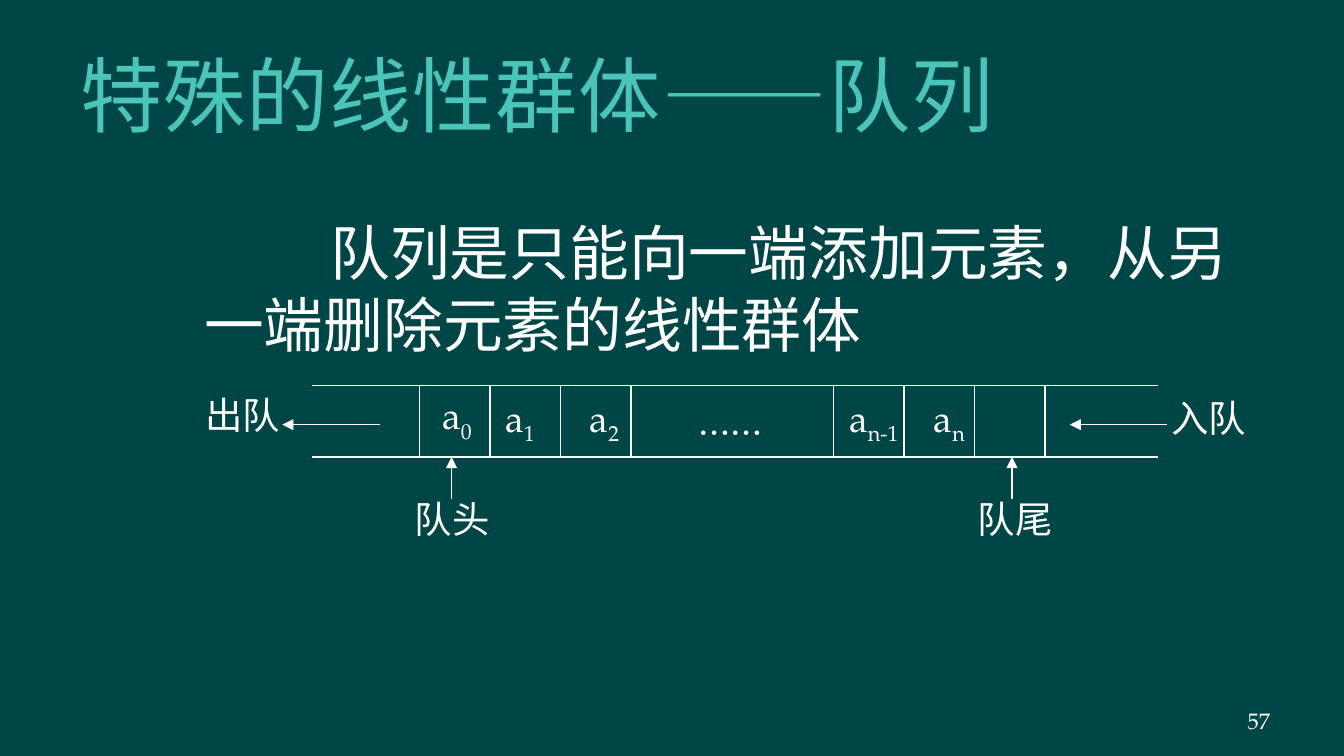
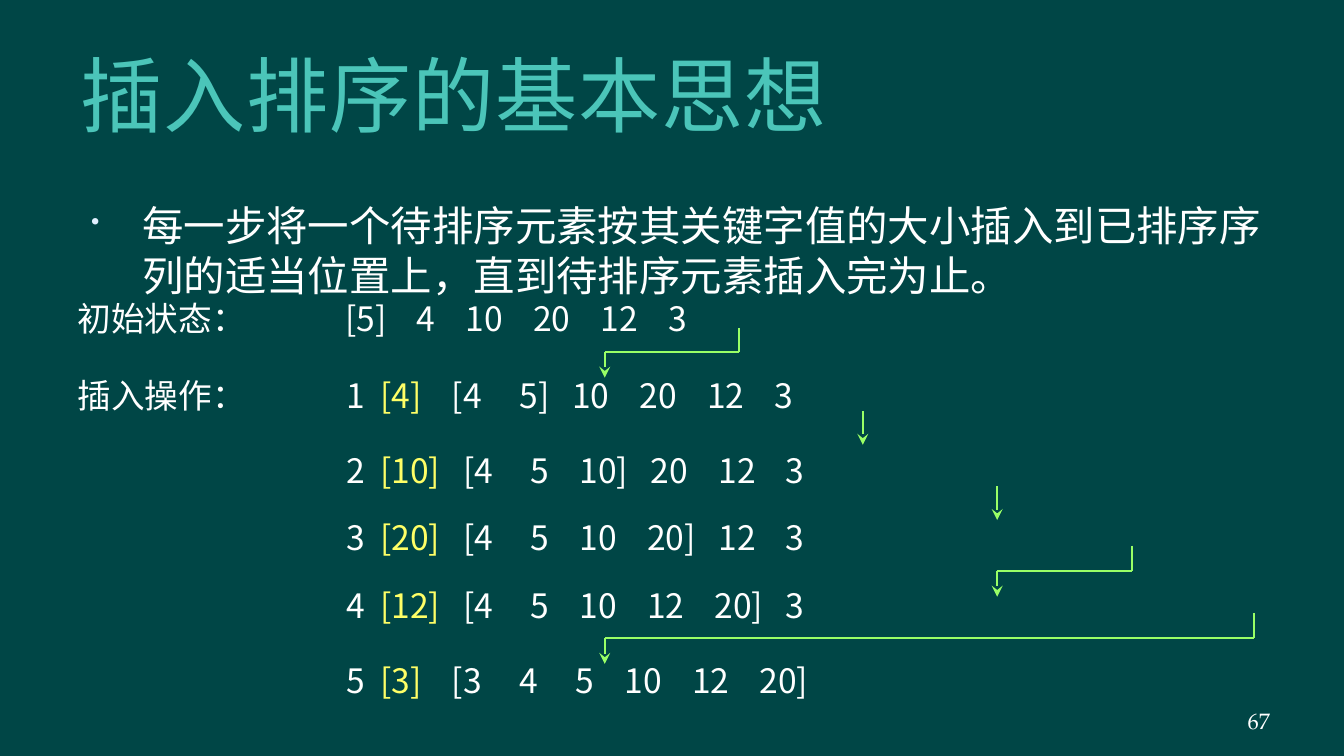
from dataclasses import dataclass

from lxml import etree
from pptx import Presentation
from pptx.dml.color import RGBColor
from pptx.enum.shapes import MSO_CONNECTOR
from pptx.enum.text import MSO_ANCHOR, PP_ALIGN
from pptx.oxml.ns import qn
from pptx.util import Inches, Pt

STRAIGHT = MSO_CONNECTOR.STRAIGHT
TOP, MIDDLE = MSO_ANCHOR.TOP, MSO_ANCHOR.MIDDLE
LEFT, CENTER, RIGHT = PP_ALIGN.LEFT, PP_ALIGN.CENTER, PP_ALIGN.RIGHT


@dataclass(frozen=True)
class Theme:
    """Colours, fonts and type sizes of the deck."""
    background: str = "004646"
    title: str = "4BC5B9"
    text: str = "FFFFFF"
    bullet: str = "E1F0FF"
    key: str = "FFFF66"
    arrow: str = "99FF66"
    title_font: str = "Lato"
    body_font: str = "TeX Gyre Pagella"
    serif_font: str = "Times New Roman"
    row_font: str = "Noto Sans CJK SC"
    east_font: str = "Lato"
    title_size: float = 44
    definition_size: float = 32
    idea_size: float = 22.2
    label_size: float = 20
    row_size: float = 18
    number_size: float = 12


THEME = Theme()
DASH = "——"

# Queue slide
QUEUE_TITLE = "特殊的线性群体——队列"
QUEUE_NUMBER = "57"
QUEUE_TEXT = "队列是只能向一端添加元素，从另一端删除元素的线性群体"
QUEUE_LEFT, QUEUE_RIGHT, QUEUE_TOP, QUEUE_BOTTOM = 2.32, 8.62, 2.87, 3.4
CELL_WIDTH = 0.525
CELL_GROUPS = [(3.12, 4), (6.2, 4)]  # first divider, number of dividers
ELEMENT_TAB = 0.63
QUEUE_ELEMENTS = [  # box, (text, is subscript) pairs
    ((3.66, 2.89, 1.51, 0.48), [("a", 0), ("1", 1), ("\ta", 0), ("2", 1)]),
    ((6.22, 2.89, 1.53, 0.48), [("a", 0), ("n-1", 1), ("\ta", 0), ("n", 1)]),
]
FIRST_ELEMENT = ((3.18, 2.92, 0.44, 0.46), [("a", 0), ("0", 1)])
QUEUE_LABELS = [  # text, left, top, East Asian font
    ("……", 4.93, 2.91, THEME.body_font),
    ("队头", 2.86, 3.64, THEME.east_font),
    ("队尾", 7.05, 3.64, THEME.east_font),
    ("入队", 8.49, 2.89, THEME.east_font),
    ("出队", 1.3, 2.87, THEME.east_font),
]
QUEUE_ARROWS = [
    [(3.36, 3.71), (3.36, 3.4)], [(7.53, 3.71), (7.53, 3.4)],
    [(2.83, 3.16), (2.1, 3.16)], [(8.68, 3.16), (7.96, 3.16)],
]

# Insertion sort slide
SORT_TITLE = "插入排序的基本思想"
SORT_NUMBER = "67"
SORT_TEXT = ("每一步将一个待排序元素按其关键字值的大小插入到已排序序列的"
             "适当位置上，直到待排序元素插入完为止。")
INITIAL_LABEL, INITIAL_CELLS = "初始状态：", "[5] 4 10 20 12 3"
INSERT_LABEL = "插入操作："
SORT_STEPS = [  # top, inserted key, list after the step, arrow points
    (2.74, "[4]", "[4 5] 10 20 12 3",
     [(5.5, 2.44), (5.5, 2.62), (4.5, 2.62), (4.5, 2.81)]),
    (3.3, "[10]", "[4 5 10] 20 12 3", [(6.42, 3.06), (6.42, 3.31)]),
    (3.8, "[20]", "[4 5 10 20] 12 3", [(7.42, 3.62), (7.42, 3.87)]),
    (4.3, "[12]", "[4 5 10 12 20] 3",
     [(8.42, 4.06), (8.42, 4.25), (7.42, 4.25), (7.42, 4.44)]),
    (4.86, "[3]", "[3 4 5 10 12 20]",
     [(9.33, 4.56), (9.33, 4.75), (4.5, 4.75), (4.5, 4.94)]),
]
DIGIT, BRACKET, GAP_UNIT = 0.139, 0.085, 0.056  # widths in the row font
INITIAL_OFFSET = 1.99


def add_text(shapes, box, pieces, size, font=THEME.body_font, color=THEME.text,
             align=LEFT, anchor=TOP, insets=(0.1, 0.05),
             east_font=THEME.east_font, tabs=()):
    """Add a one-paragraph text box; pieces are (text, run options) pairs."""
    shape = shapes.add_textbox(*map(Inches, box))
    frame = shape.text_frame
    frame.word_wrap = True
    frame.vertical_anchor = anchor
    frame.margin_left = frame.margin_right = Inches(insets[0])
    frame.margin_top = frame.margin_bottom = Inches(insets[1])
    paragraph = frame.paragraphs[0]
    paragraph.alignment = align
    for text, options in pieces:
        run = paragraph.add_run()
        run.text = text
        run.font.size = Pt(size)
        run.font.name = font
        run.font.color.rgb = RGBColor.from_string(options.get("color", color))
        properties = run.font._element
        east = etree.SubElement(properties, qn("a:ea"))
        east.set("typeface", options.get("east_font", east_font))
        for name in ("baseline", "spc"):
            if name in options:
                properties.set(name, str(options[name]))
    if tabs:
        tab_list = etree.SubElement(paragraph._p.get_or_add_pPr(), qn("a:tabLst"))
        for position in tabs:
            tab = etree.SubElement(tab_list, qn("a:tab"))
            tab.set("pos", str(Inches(position)))
            tab.set("algn", "l")
    return paragraph


def indent(paragraph, margin, first_line, size):
    """Set the indents and the 20 % space before a body paragraph."""
    paragraph.space_before = Pt(round(size * 0.2, 1))
    properties = paragraph._p.get_or_add_pPr()
    properties.set("marL", str(Inches(margin)))
    properties.set("indent", str(Inches(first_line)))
    return properties


def add_bullet(properties):
    """Give paragraph properties a small coloured bullet."""
    color = etree.SubElement(properties, qn("a:buClr"))
    etree.SubElement(color, qn("a:srgbClr")).set("val", THEME.bullet)
    etree.SubElement(properties, qn("a:buSzPct")).set("val", "60000")
    etree.SubElement(properties, qn("a:buChar")).set("char", "•")


def add_line(shapes, start, end, color=THEME.text, width=0.75, head=None):
    """Add a straight line, with an arrowhead at its end if one is named."""
    points = [Inches(value) for value in (*start, *end)]
    connector = shapes.add_connector(STRAIGHT, *points)
    connector.line.color.rgb = RGBColor.from_string(color)
    connector.line.width = Pt(width)
    if head:
        line = connector.line._get_or_add_ln()
        etree.SubElement(line, qn("a:tailEnd")).set("type", head)
    etree.SubElement(connector._element.spPr, qn("a:effectLst"))


def add_polyline(shapes, points, color, width, head):
    """Join points by lines; the last one carries the arrowhead."""
    for index, (start, end) in enumerate(zip(points, points[1:]), 2):
        add_line(shapes, start, end, color, width,
                 head if index == len(points) else None)


def title_pieces(title):
    """Split a title so that its dash takes the full-width font."""
    before, dash, after = title.partition(DASH)
    pieces = [(before, {"spc": 50})]
    if dash:
        pieces += [(dash, {"spc": 50, "east_font": THEME.row_font}),
                   (after, {"spc": 50})]
    return pieces


def add_slide(presentation, title, number):
    """Add a slide with background, title and slide number."""
    slide = presentation.slides.add_slide(presentation.slide_layouts[6])
    fill = slide.background.fill
    fill.solid()
    fill.fore_color.rgb = RGBColor.from_string(THEME.background)
    add_text(slide.shapes, (0.5, 0.23, 8.5, 0.94), title_pieces(title),
             THEME.title_size, THEME.title_font, THEME.title, anchor=MIDDLE)
    add_text(slide.shapes, (7.17, 5.21, 2.33, 0.3), [(number, {})],
             THEME.number_size, align=RIGHT, anchor=MIDDLE, insets=(0.05, 0.05))
    return slide


def subscripted(pieces):
    """Turn (text, is subscript) pairs into run pieces."""
    return [(text, {"baseline": -25000} if lowered else {})
            for text, lowered in pieces]


def build_queue(presentation):
    """Build the slide about queues."""
    slide = add_slide(presentation, QUEUE_TITLE, QUEUE_NUMBER)
    paragraph = add_text(slide.shapes, (1.42, 1.56, 7.92, 1.19), [(QUEUE_TEXT, {})],
                         THEME.definition_size, THEME.serif_font)
    indent(paragraph, 0, 0.94, THEME.definition_size)

    shapes = slide.shapes.add_group_shape().shapes
    for y in (QUEUE_TOP, QUEUE_BOTTOM):
        add_line(shapes, (QUEUE_LEFT, y), (QUEUE_RIGHT, y))
    for first, count in CELL_GROUPS:
        for index in range(count):
            x = first + index * CELL_WIDTH
            add_line(shapes, (x, QUEUE_TOP), (x, QUEUE_BOTTOM))
    for box, pieces in QUEUE_ELEMENTS:
        add_text(shapes, box, subscripted(pieces), THEME.label_size,
                 tabs=[ELEMENT_TAB])
    for text, left, top, east_font in QUEUE_LABELS:
        add_text(shapes, (left, top, 1.01, 0.48), [(text, {})],
                 THEME.label_size, align=CENTER, east_font=east_font)
    for points in QUEUE_ARROWS:
        add_polyline(shapes, points, THEME.text, 0.75, "triangle")
    box, pieces = FIRST_ELEMENT
    add_text(shapes, box, subscripted(pieces), THEME.label_size,
             align=CENTER, insets=(0, 0))


def cell_width(cell):
    """Return the width of a number with its brackets."""
    return sum(BRACKET if mark in "[]" else DIGIT for mark in cell)


def cell_positions(cells, start):
    """Return left edges: tighter after a bracket, wider between single digits."""
    positions = [start]
    for cell, following in zip(cells, cells[1:]):
        units = 3 if cell.endswith("]") else 4
        if len(cell.strip("[]")) == len(following.strip("[]")) == 1:
            units += 1
        positions.append(positions[-1] + cell_width(cell) + units * GAP_UNIT)
    return positions


def add_row(shapes, box, pieces, tabs=()):
    """Add one line of the sorting table."""
    add_text(shapes, box, pieces, THEME.row_size, THEME.row_font,
             east_font=THEME.row_font, tabs=tabs)


def build_sort(presentation):
    """Build the slide about insertion sort."""
    slide = add_slide(presentation, SORT_TITLE, SORT_NUMBER)
    paragraph = add_text(slide.shapes, (0.58, 1.44, 9, 0.75), [(SORT_TEXT, {})],
                         THEME.idea_size)
    add_bullet(indent(paragraph, 0.38, -0.38, THEME.idea_size))

    cells = INITIAL_CELLS.split()
    add_row(slide.shapes, (0.48, 2.17, 6.89, 0.4),
            [("\t".join([INITIAL_LABEL, *cells]), {})],
            cell_positions(cells, INITIAL_OFFSET))
    for step, (top, key, result, arrow) in enumerate(SORT_STEPS, 1):
        shapes = slide.shapes.add_group_shape().shapes
        if step == 1:
            add_row(shapes, (0.48, top, 1.47, 0.4), [(INSERT_LABEL, {})])
        cells = result.split()
        pieces = [(f"{step}\t", {}), (key, {"color": THEME.key}),
                  ("\t" + "\t".join(cells), {})]
        tabs = cell_positions([key, *cells], DIGIT + 2 * GAP_UNIT)
        add_row(shapes, (2.48, top, 5.38, 0.4), pieces, tabs)
        add_polyline(shapes, arrow, THEME.arrow, 1, "stealth")


def main():
    """Build and save the presentation."""
    presentation = Presentation()
    presentation.slide_width = Inches(10)
    presentation.slide_height = Inches(10) * 9 // 16
    build_queue(presentation)
    build_sort(presentation)
    presentation.save("out.pptx")


main()
